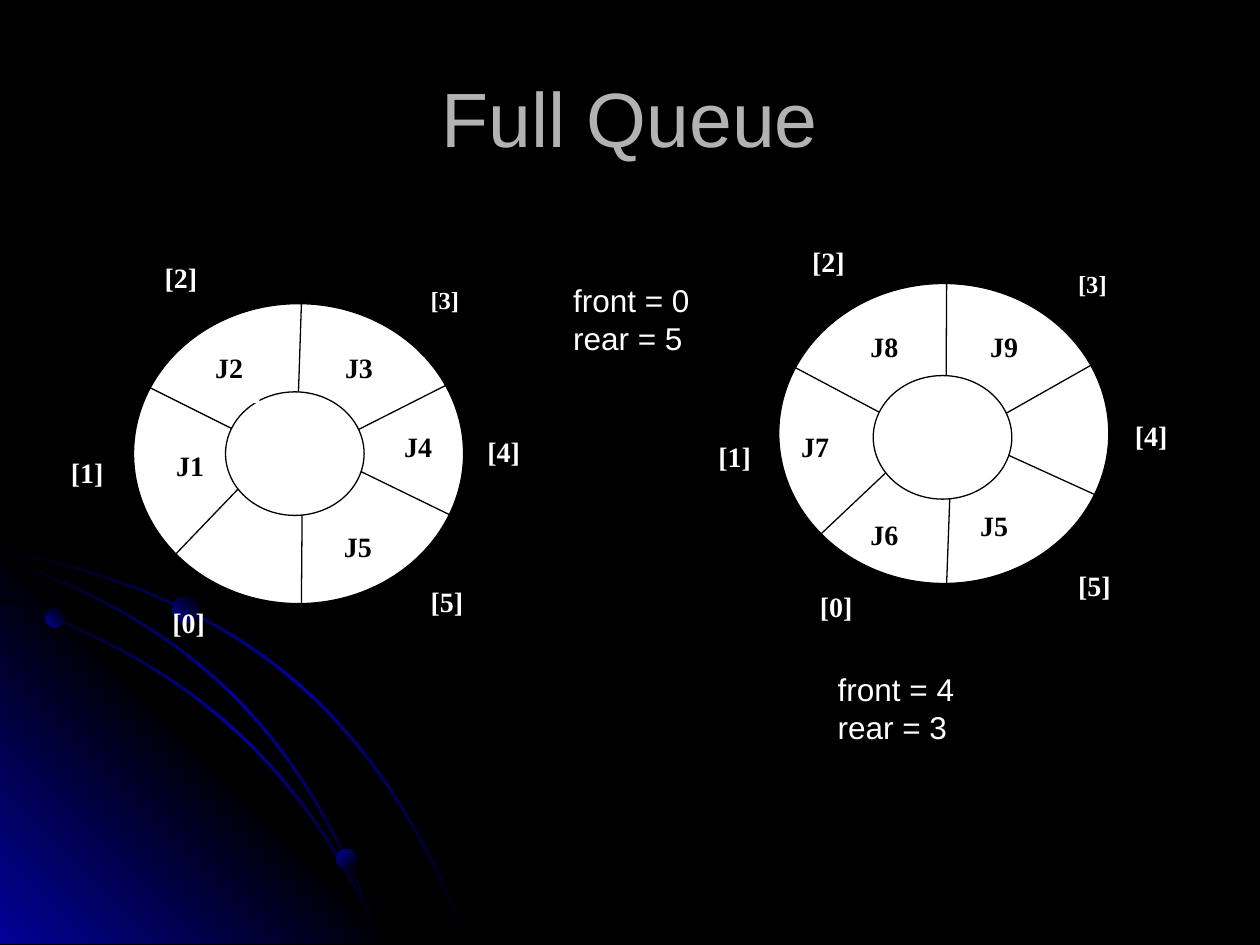
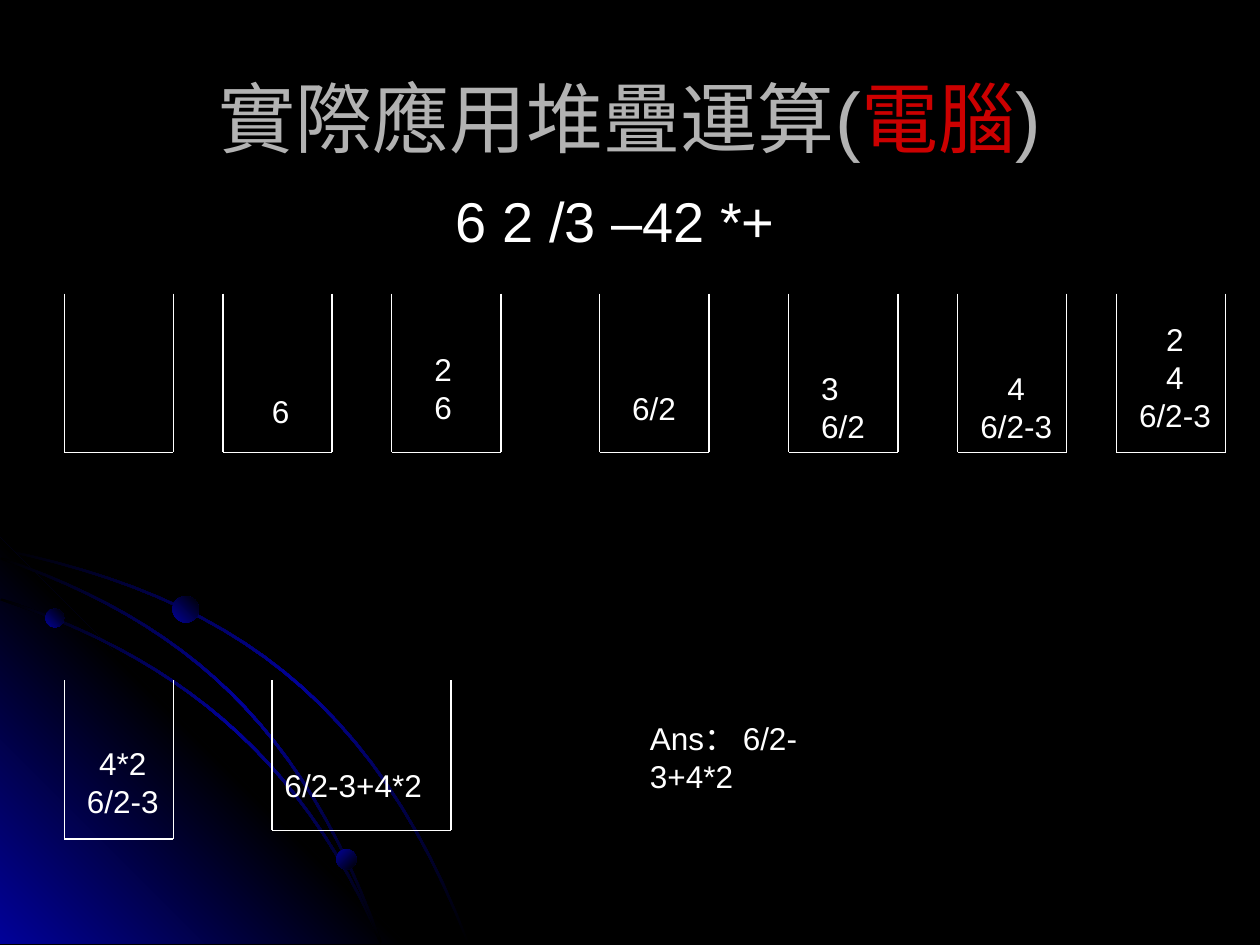
from copy import deepcopy
from math import cos, radians, sin

from lxml import etree
from pptx import Presentation
from pptx.dml.color import RGBColor
from pptx.enum import shapes, text as t
from pptx.oxml.ns import qn
from pptx.util import Pt

BLACK = RGBColor(0x00, 0x00, 0x00)
WHITE = RGBColor(0xFF, 0xFF, 0xFF)
GREY = RGBColor(0xB2, 0xB2, 0xB2)
RED = RGBColor(0xCC, 0x00, 0x00)
BLUE = RGBColor(0x01, 0x01, 0x99)
SANS, SERIF = "Arial", "Times New Roman"
LEFT, CENTER, RIGHT = t.PP_ALIGN.LEFT, t.PP_ALIGN.CENTER, t.PP_ALIGN.RIGHT
OVAL = shapes.MSO_SHAPE.OVAL
LINE_HEIGHT, PADDING = 21.6, 7.2
HAIRLINE = 0.75


def write(page, text, left, top, width, height=None, size=18, font=SANS, colour=WHITE,
          bold=False, align=LEFT, anchor=t.MSO_ANCHOR.TOP, wrap=True, fill=None,
          accent=None):
    lines = text.split("\n")
    if height is None:
        height = PADDING + LINE_HEIGHT * len(lines)
    area = Pt(left), Pt(top), Pt(width), Pt(height)
    if fill is None:
        box = page.shapes.add_textbox(*area)
    else:
        box = page.shapes.add_shape(shapes.MSO_SHAPE.RECTANGLE, *area)
        box.shadow.inherit = False
        box.fill.solid()
        box.fill.fore_color.rgb = fill
        box.line.fill.background()
    frame = box.text_frame
    frame.word_wrap = wrap
    if not wrap:
        frame.auto_size = t.MSO_AUTO_SIZE.SHAPE_TO_FIT_TEXT
    frame.vertical_anchor = anchor
    for number, line in enumerate(lines):
        para = frame.paragraphs[0] if number == 0 else frame.add_paragraph()
        para.alignment = align
        for piece in line.partition(accent) if accent else [line]:
            span = para.add_run()
            span.text = piece
            span.font.name = font
            span.font.size = Pt(size)
            span.font.bold = bold
            span.font.color.rgb = RED if piece == accent else colour


def draw_line(page, start, end, colour):
    line = page.shapes.add_connector(
        shapes.MSO_CONNECTOR.STRAIGHT, *[Pt(value) for value in (*start, *end)])
    line.line.color.rgb = colour
    line.line.width = Pt(HAIRLINE)
    etree.SubElement(line._element.spPr, qn("a:effectLst"))


ORBIT_CURVES = {
    "outer": [(0, 314.5), (130, 341.5), (213, 399.5), (267, 539.3)],
    "inner": [(0, 343), (95, 374), (171, 429.5), (217.2, 539.3)],
    "middle": [(0, 319.5), (105, 356), (172.5, 414.5), (217.2, 539.3)],
}
ORBIT_STEPS = 24
ORBIT_THICKNESS = 1

orbits = {}
for name, controls in ORBIT_CURVES.items():
    lower_edge = []
    for step in range(ORBIT_STEPS + 1):
        along = step / ORBIT_STEPS
        back = 1 - along
        weights = back ** 3, 3 * back ** 2 * along, 3 * back * along ** 2, along ** 3
        lower_edge.append((sum(w * x for w, (x, y) in zip(weights, controls)),
                           sum(w * y for w, (x, y) in zip(weights, controls))))
    upper_edge = [(x + ORBIT_THICKNESS, y - ORBIT_THICKNESS) for x, y in lower_edge]
    orbits[name] = lower_edge + upper_edge[::-1]

CORNER = [(231.8, 539.3), (0, 539.3), (0, 307.4)]
FADED_ENDS, FADED_MIDDLE = [BLACK, BLUE, BLACK], [BLUE, BLACK, BLUE]
DOWN_RIGHT, UP_RIGHT = 315, 45
SWEEPS = [
    (orbits["outer"], FADED_ENDS, DOWN_RIGHT),
    (CORNER, FADED_MIDDLE, UP_RIGHT),
    (orbits["inner"], FADED_ENDS, DOWN_RIGHT),
    (orbits["middle"], FADED_ENDS, DOWN_RIGHT),
]
PLANETS = [(25.9, 347.8, 10.8, UP_RIGHT), (192.2, 485.3, 11.5, DOWN_RIGHT),
           (98.6, 340.6, 15.1, UP_RIGHT)]

deck = Presentation()
deck.slide_width, deck.slide_height = Pt(720), Pt(540)

pages = []
for title, accent in [("Full Queue", None), ("實際應用堆疊運算(電腦)", "電腦")]:
    page = deck.slides.add_slide(deck.slide_layouts[6])
    pages.append(page)
    page.background.fill.solid()
    page.background.fill.fore_color.rgb = BLACK

    glows = []
    for outline, colours, angle in SWEEPS:
        points = [(Pt(x), Pt(y)) for x, y in outline]
        builder = page.shapes.build_freeform(*points[0])
        builder.add_line_segments(points[1:], close=True)
        glows.append((builder.convert_to_shape(), colours, angle))
    for left, top, size, angle in PLANETS:
        planet = page.shapes.add_shape(OVAL, Pt(left), Pt(top), Pt(size), Pt(size))
        glows.append((planet, [BLUE, BLACK], angle))
    for glow, colours, angle in glows:
        glow.shadow.inherit = False
        glow.line.fill.background()
        glow.fill.gradient()
        glow.fill.gradient_angle = angle
        stop_list = glow._element.spPr.find(qn("a:gradFill")).find(qn("a:gsLst"))
        if len(colours) == 3:
            stop_list.append(deepcopy(stop_list[0]))
        for number, stop in enumerate(glow.fill.gradient_stops):
            stop.position = number / (len(colours) - 1)
            stop.color.rgb = colours[number]

    write(page, title, 36, 21.6, 648, 90, size=44, colour=GREY, align=CENTER,
          anchor=t.MSO_ANCHOR.MIDDLE, accent=accent)

queue_page, stack_page = pages

DISC_RADII, HOLE_RADII = (94.3, 85.7), (39.6, 35.3)
SPOKE_ANGLES = [(206, 204), (271, 273), (333, 337), (24, 17), (89, 84), (138, 145)]
SLOT_LABELS = [
    ("[0]", 91.4, 342.7, 50.4, 43.2, 16, LEFT),
    ("[1]", 25.2, 257, 41, 36.7, 16, RIGHT),
    ("[2]", 74.9, 145.4, 56.9, 28.8, 16, CENTER),
    ("[3]", 239, 159.1, 60.5, 29.5, 14, LEFT),
    ("[4]", 271.4, 244.8, 57.6, 36.7, 16, LEFT),
    ("[5]", 239, 330.5, 74.2, 36.7, 16, LEFT),
]
FIRST_QUEUE = {
    "disc_centre": (170.6, 259.2),
    "hole_centre": (168.5, 259.2),
    "label_shift": (0, 0),
    "jobs": [
        ("J1", 93.6, 252.7, 32.4, 30.2), ("J2", 115.9, 196.6, 32.4, 33.8),
        ("J3", 190.1, 196.6, 32.4, 24.5), ("J4", 223.9, 241.9, 32.4, 24.5),
        ("J5", 189.4, 298.8, 32.4, 24.5),
    ],
    "status": ("front = 0\nrear = 5", 320.4, 157),
}
SECOND_QUEUE = {
    "disc_centre": (539.3, 247.7),
    "hole_centre": (538.6, 249.9),
    "label_shift": (370, -9.2),
    "jobs": [
        ("J5", 553, 287.3, 41, 24.5), ("J6", 490.3, 292.3, 41.8, 23),
        ("J7", 450.7, 241.9, 41, 24.5), ("J8", 490.3, 185, 32.4, 24.5),
        ("J9", 558.7, 185, 35.3, 24.5),
    ],
    "status": ("front = 4\nrear = 3", 471.6, 379.4),
}
STATUS_WIDTH = 84

for queue in [FIRST_QUEUE, SECOND_QUEUE]:
    rings = [(queue["disc_centre"], DISC_RADII), (queue["hole_centre"], HOLE_RADII)]
    for (x, y), (across, down) in rings:
        ring = queue_page.shapes.add_shape(
            OVAL, Pt(x - across), Pt(y - down), Pt(2 * across), Pt(2 * down))
        ring.shadow.inherit = False
        ring.fill.solid()
        ring.fill.fore_color.rgb = WHITE
        ring.line.color.rgb = BLACK
        ring.line.width = Pt(HAIRLINE)
    for angles in SPOKE_ANGLES:
        rim, hub = [(x + across * cos(radians(angle)), y + down * sin(radians(angle)))
                    for angle, ((x, y), (across, down)) in zip(angles, rings)]
        draw_line(queue_page, rim, hub, BLACK)
    dx, dy = queue["label_shift"]
    for label, left, top, width, height, size, align in SLOT_LABELS:
        write(queue_page, label, left + dx, top + dy, width, height,
              size=size, font=SERIF, bold=True, align=align)
    for job, left, top, width, height in queue["jobs"]:
        write(queue_page, job, left, top, width, height, size=16, font=SERIF,
              colour=BLACK, bold=True, fill=WHITE)
    status, left, top = queue["status"]
    write(queue_page, status, left, top, STATUS_WIDTH, wrap=False)

STACK_WIDTH, STACK_DEPTH = 62.4, 90.7
TOP_ROW, BOTTOM_ROW = 167.8, 388.8
stacks = [(left, TOP_ROW, STACK_WIDTH, STACK_DEPTH)
          for left in (36.7, 127.4, 223.9, 342.7, 450.7, 547.2, 637.9)]
stacks.append((36.7, BOTTOM_ROW, STACK_WIDTH, STACK_DEPTH))
stacks.append((155.5, BOTTOM_ROW, 102.2, 85.7))
for left, top, width, depth in stacks:
    right, bottom = left + width, top + depth
    draw_line(stack_page, (left, top), (left, bottom), WHITE)
    draw_line(stack_page, (right, top), (right, bottom), WHITE)
    draw_line(stack_page, (left, bottom), (right, bottom), WHITE)

STACK_ITEMS = [
    ("6", 148.3, 220.3, 24.5, LEFT),
    ("2\n6", 241.2, 196.6, 24.5, LEFT),
    ("6/2", 354.2, 218.9, 39.6, LEFT),
    ("3\n6/2", 462.2, 207.4, 39.6, LEFT),
    ("4\n6/2-3", 553, 207.4, 55.4, CENTER),
    ("2\n4\n6/2-3", 643.7, 179.3, 55.4, CENTER),
    ("4*2\n6/2-3", 42.5, 421.5, 55.4, CENTER),
    ("6/2-3+4*2", 155.5, 434.2, 97.9, LEFT),
]
for items, left, top, width, align in STACK_ITEMS:
    write(stack_page, items, left, top, width, align=align, wrap=False)
write(stack_page, "Ans： 6/2-3+4*2", 364.3, 407.5, 118, 50.4)
write(stack_page, "6 2 /3 –42 *+", 253.4, 103, 198.7, 46, size=32, wrap=False)

deck.save("out.pptx")
